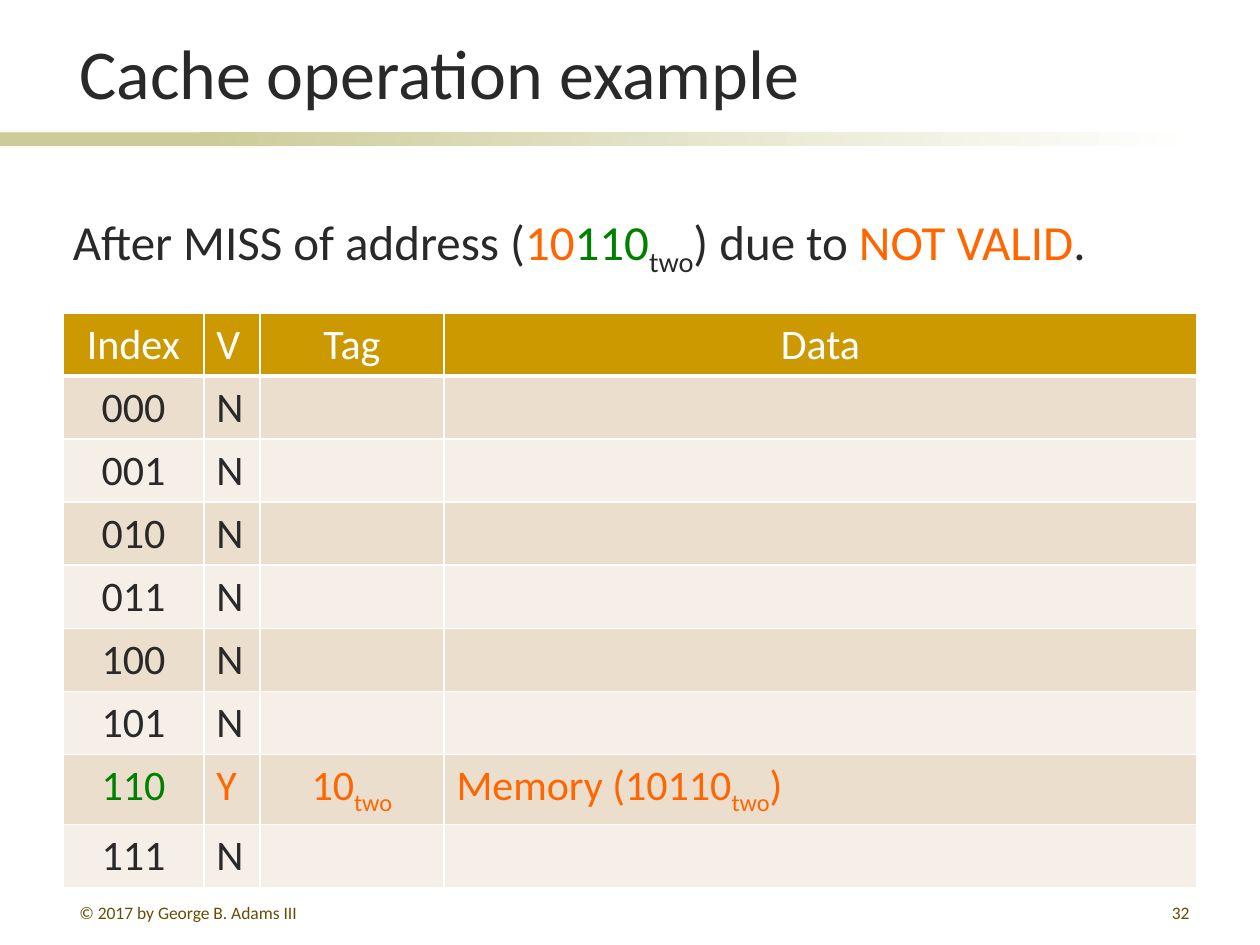
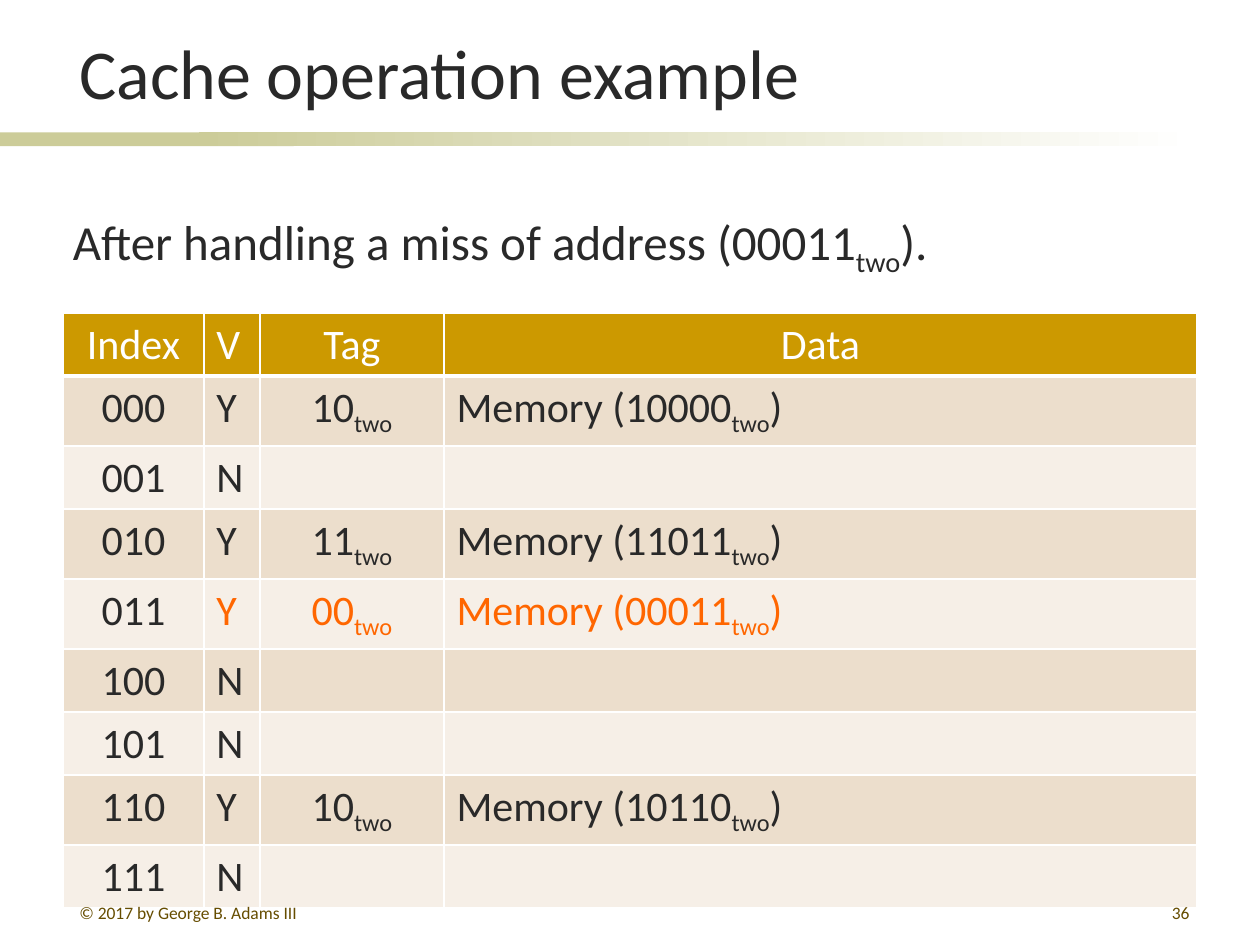
import pptx
import pptx.dml.color
import pptx.enum.shapes
import pptx.enum.text
import pptx.oxml.ns
import pptx.util
from lxml import etree

Cm, Pt = pptx.util.Cm, pptx.util.Pt
ALIGN = pptx.enum.text.PP_ALIGN
ANCHOR = pptx.enum.text.MSO_ANCHOR

# Content
TITLE = "Cache operation example"
COPYRIGHT = "© 2017 by George B. Adams III"
BASE = "two"  # always set as a subscript
HEADINGS = ["Index", "V", "Tag", "Data"]
INDEXES = [f"{i:03b}" for i in range(8)]

# "cached" maps an index to its tag and memory address
STATES = [
    {
        "number": "32",
        "caption": [("After MISS of address (", "ink"), ("10", "changed"),
                    ("110", "index"), (BASE, "ink"), (") due to ", "ink"),
                    ("NOT VALID", "changed"), (".", "ink")],
        "caption_width": 22.15,
        "cached": {"110": ("10", "10110")},
        "changed": "110",
        "index_color": "index",
    },
    {
        "number": "36",
        "caption": [("After handling a miss of address (00011", "ink"),
                    (BASE, "ink"), (").", "ink")],
        "caption_width": 18.11,
        "cached": {"000": ("10", "10000"), "010": ("11", "11011"),
                   "011": ("00", "00011"), "110": ("10", "10110")},
        "changed": "011",
        "index_color": "ink",
    },
]

# Shared look
FONT = "Calibri"
COLORS = {
    "ink": "292929", "changed": "FF6600", "index": "008000",
    "footer": "664D00", "band": "CCCC99", "white": "FFFFFF",
    "header": "CC9900", "odd": "ECDECC", "even": "F6EFE7",
}
COLUMN_WIDTHS = [2.84, 1.13, 3.71, 15.18]
COLUMN_ALIGN = [ALIGN.CENTER, ALIGN.LEFT, ALIGN.CENTER, ALIGN.LEFT]
ROW_HEIGHT = 1.04


def rgb(name):
    return pptx.dml.color.RGBColor.from_string(COLORS[name])


def write_runs(paragraph, runs, size, align=ALIGN.LEFT):
    paragraph.alignment = align
    for text, color in runs:
        run = paragraph.add_run()
        run.text = text
        run.font.name, run.font.size = FONT, Pt(size)
        run.font.color.rgb = rgb(color)
        if text == BASE:
            run.font._element.set("baseline", "-25000")


def add_text(slide, box, runs, size, align=ALIGN.LEFT, anchor=ANCHOR.TOP):
    frame = slide.shapes.add_textbox(*map(Cm, box)).text_frame
    frame.word_wrap = True
    frame.vertical_anchor = anchor
    write_runs(frame.paragraphs[0], runs, size, align)
    return frame


def add_band(slide, left, width, fades=False):
    band = slide.shapes.add_shape(pptx.enum.shapes.MSO_SHAPE.RECTANGLE,
                                  Cm(left), Cm(2.67), Cm(width), Cm(0.28))
    band.shadow.inherit = False
    band.line.fill.background()
    if fades:
        band.fill.gradient()
        band.fill.gradient_angle = 0
        for stop, color in zip(band.fill.gradient_stops, ["band", "white"]):
            stop.color.rgb = rgb(color)
    else:
        band.fill.solid()
        band.fill.fore_color.rgb = rgb("band")


def style_cell(cell, fill, bottom_line=1):
    properties = cell._tc.get_or_add_tcPr()
    qn = pptx.oxml.ns.qn
    for side, width in [("L", 1), ("R", 1), ("T", 1), ("B", bottom_line)]:
        line = etree.SubElement(properties, qn(f"a:ln{side}"), w=str(Pt(width)))
        paint = etree.SubElement(line, qn("a:solidFill"))
        etree.SubElement(paint, qn("a:srgbClr"), val=COLORS["white"])
    cell.fill.solid()
    cell.fill.fore_color.rgb = rgb(fill)


def cache_row(state, index):
    """Runs for the four cells of one cache line."""
    changed = index == state["changed"]
    color = "changed" if changed else "ink"
    index_runs = [(index, state["index_color"] if changed else "ink")]
    if index not in state["cached"]:
        return [index_runs, [("N", color)], [], []]
    tag, address = state["cached"][index]
    return [index_runs, [("Y", color)], [(tag, color), (BASE, color)],
            [(f"Memory ({address}", color), (BASE, color), (")", color)]]


def add_cache(slide, state):
    rows = [[[(heading, "white")] for heading in HEADINGS]]
    rows += [cache_row(state, index) for index in INDEXES]
    cache = slide.shapes.add_table(
        len(rows), len(HEADINGS), Cm(1.27), Cm(6.31),
        Cm(sum(COLUMN_WIDTHS)), Cm(ROW_HEIGHT * len(rows))).table
    cache.first_row = cache.horz_banding = False
    for column, width in zip(cache.columns, COLUMN_WIDTHS):
        column.width = Cm(width)
    for r, row in enumerate(rows):
        cache.rows[r].height = Cm(ROW_HEIGHT)
        fill = "header" if r == 0 else "odd" if r % 2 else "even"
        for c, runs in enumerate(row):
            cell = cache.cell(r, c)
            style_cell(cell, fill, bottom_line=3 if r == 0 else 1)
            align = ALIGN.CENTER if HEADINGS[c] == "Data" and r == 0 else COLUMN_ALIGN[c]
            write_runs(cell.text_frame.paragraphs[0], runs, 24, align)


def add_state(deck, state):
    slide = deck.slides.add_slide(deck.slide_layouts[6])
    # Bands and title
    add_band(slide, 0, 5.92)
    add_band(slide, 4.01, 20.12, fades=True)
    title = add_text(slide, (1.35, 0.28, 22.89, 2.06), [(TITLE, "ink")], 40,
                     anchor=ANCHOR.BOTTOM)
    title.margin_bottom = Cm(0.06)
    # Cache contents and caption
    add_cache(slide, state)
    add_text(slide, (1.22, 4.14, state["caption_width"], 1.45), state["caption"], 28)
    # Footer
    add_text(slide, (1.35, 18.06, 5.51, 0.53), [(COPYRIGHT, "footer")], 10)
    add_text(slide, (18.95, 18.06, 5.28, 0.53), [(state["number"], "footer")], 10,
             align=ALIGN.RIGHT)


def main():
    deck = pptx.Presentation()
    deck.slide_width, deck.slide_height = Cm(25.4), Cm(19.05)
    for state in STATES:
        add_state(deck, state)
    deck.save("out.pptx")


if __name__ == "__main__":
    main()
